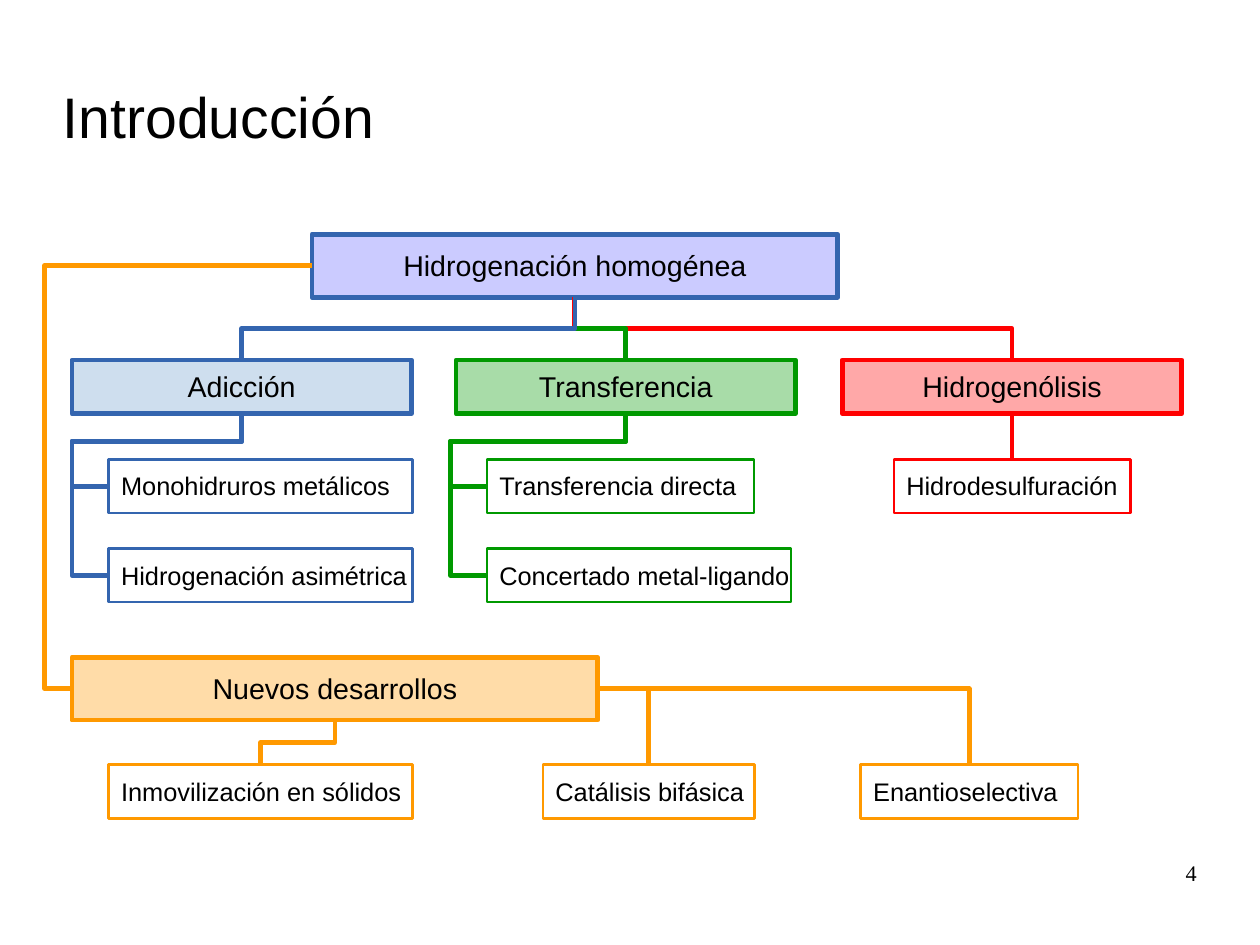
from lxml.etree import SubElement
from pptx import Presentation
from pptx.dml.color import RGBColor
from pptx.enum.shapes import MSO_CONNECTOR, MSO_SHAPE
from pptx.enum.text import MSO_ANCHOR, PP_ALIGN
from pptx.oxml.ns import qn
from pptx.util import Inches, Pt

# Content: heads are (text, left, top, width, height, colour key)
TITLE = "Introducción"
PAGE = "4"
HEADS = [
    ("Hidrogenación homogénea", 2.73, 2.05, 4.6, 0.55, "root"),
    ("Adicción", 0.63, 3.15, 2.97, 0.47, "blue"),
    ("Transferencia", 3.99, 3.15, 2.97, 0.47, "green"),
    ("Hidrogenólisis", 7.37, 3.15, 2.97, 0.47, "red"),
    ("Nuevos desarrollos", 0.63, 5.75, 4.6, 0.55, "gold"),
]
# Leaves are (text, left, top, width, colour key)
LEAVES = [
    ("Monohidruros metálicos", 0.95, 4.02, 2.66, "blue"),
    ("Hidrogenación asimétrica", 0.95, 4.8, 2.66, "blue"),
    ("Transferencia directa", 4.26, 4.02, 2.34, "green"),
    ("Concertado metal-ligando", 4.26, 4.8, 2.66, "green"),
    ("Hidrodesulfuración", 7.82, 4.02, 2.07, "red"),
    ("Inmovilización en sólidos", 0.95, 6.69, 2.66, "gold"),
    ("Catálisis bifásica", 4.75, 6.69, 1.85, "gold"),
    ("Enantioselectiva", 7.53, 6.69, 1.9, "gold"),
]
# Wires are (from, side, to, side, colour key, x of the outer rail)
WIRES = [
    ("Hidrogenación homogénea", "bottom", "Hidrogenólisis", "top", "red", None),
    ("Hidrogenación homogénea", "bottom", "Transferencia", "top", "green", None),
    ("Hidrogenación homogénea", "bottom", "Adicción", "top", "blue", None),
    ("Adicción", "bottom", "Monohidruros metálicos", "left", "blue", 0.63),
    ("Adicción", "bottom", "Hidrogenación asimétrica", "left", "blue", 0.63),
    ("Transferencia", "bottom", "Transferencia directa", "left", "green", 3.94),
    ("Transferencia", "bottom", "Concertado metal-ligando", "left", "green", 3.94),
    ("Hidrogenólisis", "bottom", "Hidrodesulfuración", "top", "red", None),
    ("Hidrogenación homogénea", "left", "Nuevos desarrollos", "left", "gold", 0.39),
    ("Nuevos desarrollos", "right", "Enantioselectiva", "top", "gold", None),
    ("Nuevos desarrollos", "bottom", "Inmovilización en sólidos", "top", "gold", None),
    ("Nuevos desarrollos", "right", "Catálisis bifásica", "top", "gold", None),
]
THEME = {
    # key: (line, fill, opacity in percent)
    "ink": {
        "root": ("3465AF", "9999FF", 50),
        "blue": ("3465AF", "729FCF", 34),
        "green": ("009900", "009900", 34),
        "red": ("FF0000", "FF0000", 34),
        "gold": ("FF9900", "FF9900", 34),
    },
    "text": "000000",
    "font": "Arial",
    "page font": "Times New Roman",
    "title": 36, "head": 18, "leaf": 16, "page": 14,
    "thick": 3, "thin": 1.5,
}
SIDES = ["top", "left", "bottom", "right"]
LEAF_H = 0.47
DROP = 0.24  # from a head down to its rail

# The page is 28 by 21 cm
deck = Presentation()
deck.slide_width = Inches(28 / 2.54)
deck.slide_height = Inches(21 / 2.54)
slide = deck.slides.add_slide(deck.slide_layouts[6])
boxes = {}


def put(item, vals):
    for name, val in vals.items():
        setattr(item, name, val)


def write(shape, text, size, align, pads, wrap, anchor=MSO_ANCHOR.MIDDLE, face=THEME["font"]):
    frame = shape.text_frame
    names = ("margin_left", "margin_top", "margin_right", "margin_bottom")
    put(frame, dict(zip(names, map(Inches, pads))))
    put(frame, {"word_wrap": wrap, "vertical_anchor": anchor, "text": text})
    par = frame.paragraphs[0]
    put(par, {"alignment": align, "line_spacing": 0.93})
    put(par.font, {"size": Pt(size), "name": face})
    par.font.color.rgb = RGBColor.from_string(THEME["text"])


def stroke(shape, ink, width):
    shape.line.color.rgb = RGBColor.from_string(THEME["ink"][ink][0])
    shape.line.width = Pt(width)
    SubElement(shape.line._get_or_add_ln(), qn("a:round"))


def add_box(text, x, y, w, h, ink, head):
    box = slide.shapes.add_shape(MSO_SHAPE.RECTANGLE, *map(Inches, (x, y, w, h)))
    box.shadow.inherit = False
    if head:
        _, fill, alpha = THEME["ink"][ink]
        box.fill.solid()
        box.fill.fore_color.rgb = RGBColor.from_string(fill)
        tint = box.element.spPr.find(qn("a:solidFill"))[0]
        SubElement(tint, qn("a:alpha"), val=str(alpha * 1000))
        write(box, text, THEME["head"], PP_ALIGN.CENTER, (0.12, 0.09, 0.12, 0.07), False)
    else:
        box.fill.background()
        write(box, text, THEME["leaf"], PP_ALIGN.LEFT, (0.11, 0.08, 0.11, 0.06), False)
    stroke(box, ink, THEME["thick"] if head else THEME["thin"])
    boxes[text] = (box, x, y, w, h)


def port(name, side):
    _, x, y, w, h = boxes[name]
    return {"top": (x + w / 2, y), "left": (x, y + h / 2),
            "bottom": (x + w / 2, y + h), "right": (x + w, y + h / 2)}[side]


def add_wire(start, out, end, into, ink, rail):
    (x1, y1), (x2, y2) = port(start, out), port(end, into)
    dx, dy = x2 - x1, y2 - y1
    plain = out == "bottom" and abs(dx) < 0.01
    kind = MSO_CONNECTOR.STRAIGHT if plain else MSO_CONNECTOR.ELBOW
    wire = slide.shapes.add_connector(kind, *map(Inches, (x1, y1, x2, y2)))
    wire.begin_connect(boxes[start][0], SIDES.index(out))
    wire.end_connect(boxes[end][0], SIDES.index(into))
    if not plain:
        bend(wire, x1, y1, dx, dy, out, into, rail)
    stroke(wire, ink, THEME["thick"])
    SubElement(wire.element.spPr, qn("a:effectLst"))


def bend(wire, x, y, dx, dy, out, into, rail):
    # Elbows that leave downwards are sideways ones, turned
    down = out == "bottom"
    w, h = (dy, abs(dx)) if down else (abs(dx), dy)
    turn, flip = 0, None
    if down:
        turn, flip = (90, None) if dx < 0 else (270, "flipH")
    elif out == "left":
        turn, flip = 180, "flipV"
    frame = wire.element.spPr.find(qn("a:xfrm"))
    frame.attrib.clear()
    if turn:
        frame.set("rot", str(turn * 60000))
    if flip:
        frame.set(flip, "1")
    put(wire, {"left": Inches(x + (dx - w) / 2), "top": Inches(y + (dy - h) / 2),
               "width": Inches(w), "height": Inches(h)})

    # Bends, as shares of the run
    if out == "right":
        prst, bends = "bentConnector2", []
    elif into == "top":
        prst, bends = "bentConnector3", [0.5]
    elif down:
        prst, bends = "bentConnector4", [DROP / dy, (rail - x) / dx]
    else:
        prst, bends = "bentConnector3", [(rail - x) / dx]
    geom = wire.element.spPr.find(qn("a:prstGeom"))
    geom.set("prst", prst)
    for n, part in enumerate(bends, 1):
        SubElement(geom.find(qn("a:avLst")), qn("a:gd"), name=f"adj{n}",
                   fmla=f"val {round(part * 100000)}")


# Title
title = slide.shapes.add_textbox(*map(Inches, (0.55, 0.63, 7.87, 0.79)))
write(title, TITLE, THEME["title"], PP_ALIGN.LEFT, (0, 0.04, 0, 0), True)

# Boxes
for text, x, y, w, h, ink in HEADS:
    add_box(text, x, y, w, h, ink, True)
for text, x, y, w, ink in LEAVES:
    add_box(text, x, y, w, LEAF_H, ink, False)

# Wires
for row in WIRES:
    add_wire(*row)

# Page number
page = slide.shapes.add_textbox(*map(Inches, (7.9, 7.54, 2.57, 0.57)))
write(page, PAGE, THEME["page"], PP_ALIGN.RIGHT, (0, 0, 0, 0), True,
      MSO_ANCHOR.TOP, THEME["page font"])

deck.save("out.pptx")
